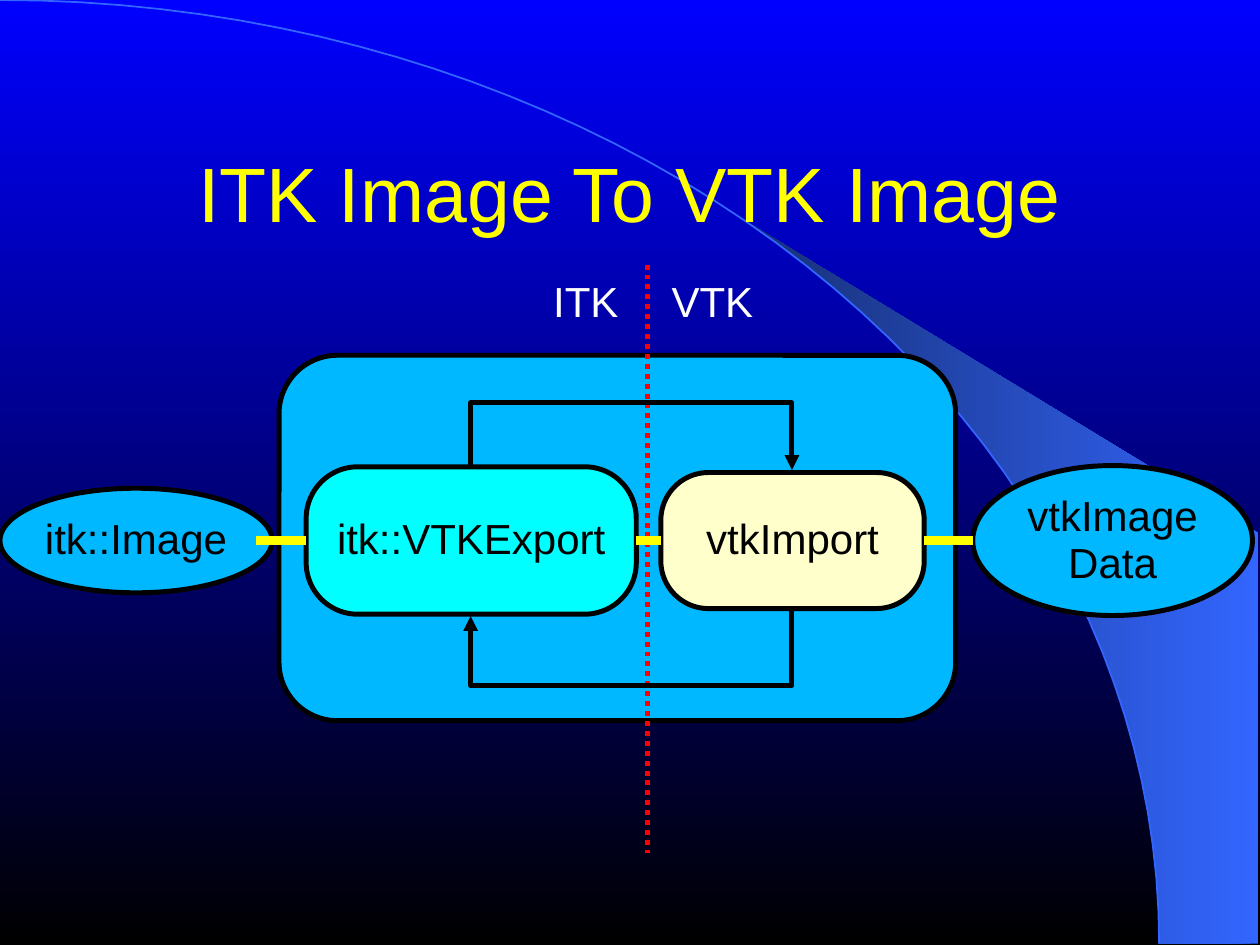
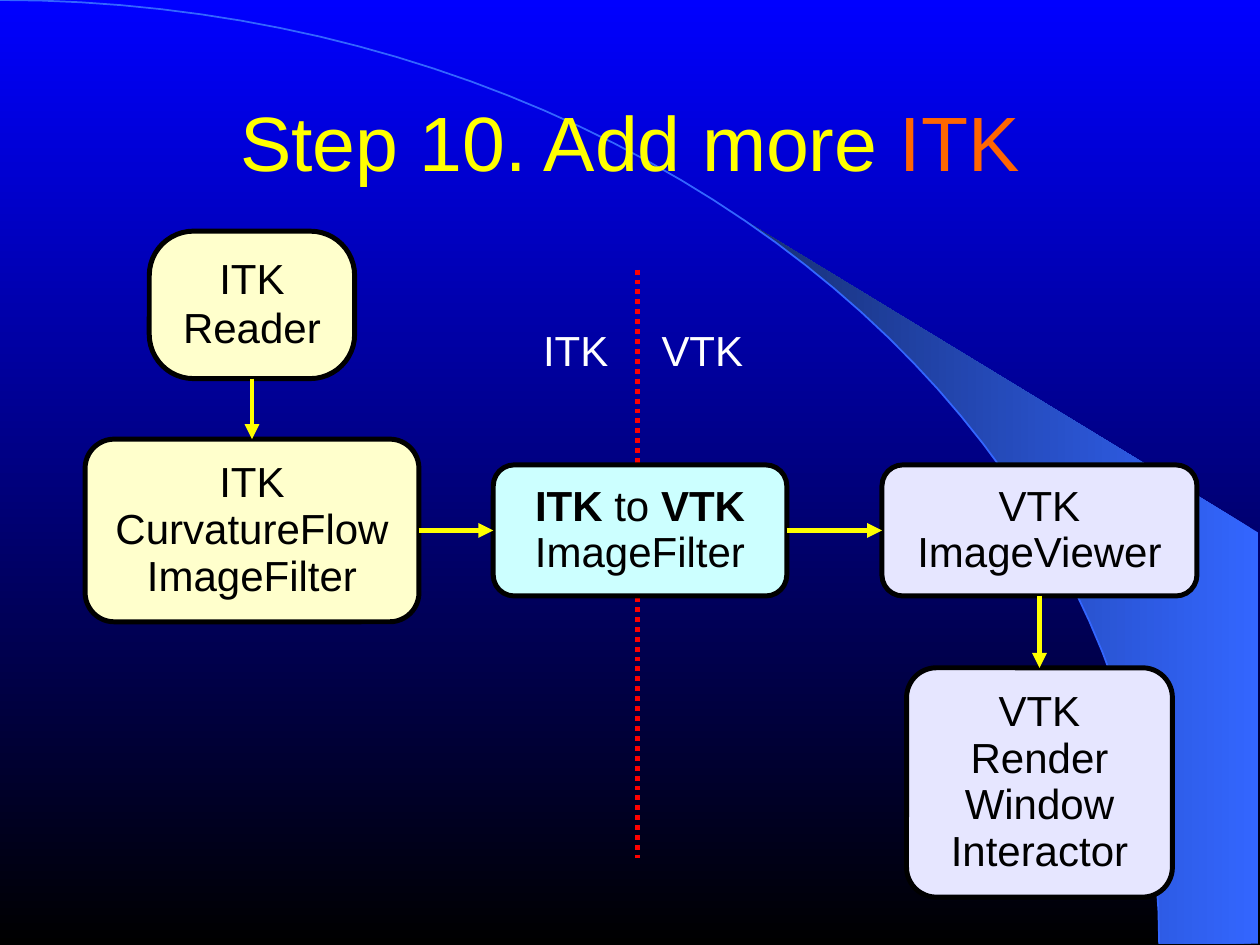
from math import cos, radians, sin

from lxml.etree import SubElement
from pptx import Presentation
from pptx.dml.color import RGBColor
from pptx.enum.dml import MSO_LINE
from pptx.enum.shapes import MSO_CONNECTOR, MSO_SHAPE
from pptx.enum.text import MSO_ANCHOR, PP_ALIGN
from pptx.oxml.ns import qn
from pptx.util import Inches, Pt

OVAL, ROUND = MSO_SHAPE.OVAL, MSO_SHAPE.ROUNDED_RECTANGLE
LINE, ELBOW = MSO_CONNECTOR.STRAIGHT, MSO_CONNECTOR.ELBOW
DOTS = MSO_LINE.ROUND_DOT
MIDDLE, CENTER = MSO_ANCHOR.MIDDLE, PP_ALIGN.CENTER
TOP, LEFT, BOTTOM, RIGHT = range(4)

BLACK = RGBColor(0x00, 0x00, 0x00)
WHITE = RGBColor(0xFF, 0xFF, 0xFF)
BLUE = RGBColor(0x00, 0x00, 0xFF)
GLOW = RGBColor(0x33, 0x66, 0xFF)
DUSK = RGBColor(0x17, 0x2F, 0x75)
YELLOW = RGBColor(0xFF, 0xFF, 0x00)
ORANGE = RGBColor(0xFF, 0x66, 0x00)
RED = RGBColor(0xFF, 0x00, 0x00)
SKY = RGBColor(0x00, 0xB8, 0xFF)
CYAN = RGBColor(0x00, 0xFF, 0xFF)
CREAM = RGBColor(0xFF, 0xFF, 0xCC)
ICE = RGBColor(0xCC, 0xFF, 0xFF)
LILAC = RGBColor(0xE6, 0xE6, 0xFF)

FONT = "Arial"
THIN, THICK = Pt(2.83), Pt(5.67)
SPACE = 0.93


def box(slide, kind, mid, size, fill, text="", pad=0, bend=None):
    """Draw an outlined shape centred on mid, its sizes in inches."""
    (x, y), (w, h) = mid, size
    shape = slide.shapes.add_shape(
        kind, Inches(x - w / 2), Inches(y - h / 2), Inches(w), Inches(h))
    shape.shadow.inherit = False
    if bend:
        shape.adjustments[0] = bend
    shape.fill.solid()
    shape.fill.fore_color.rgb = fill
    shape.line.color.rgb = BLACK
    shape.line.width = THIN
    frame = shape.text_frame
    frame.word_wrap = True
    frame.vertical_anchor = MIDDLE
    frame.margin_left = frame.margin_right = Inches(pad)
    frame.margin_top = frame.margin_bottom = Inches(pad)
    frame.text = text
    for para in frame.paragraphs:
        para.alignment = CENTER
        para.line_spacing = SPACE
        para.font.name, para.font.size = FONT, Pt(24)
        para.font.color.rgb = BLACK
    return shape


def link(slide, kind, start, end, color, width, head=False):
    """Draw a connector between two points in inches."""
    wire = slide.shapes.add_connector(kind, *map(Inches, start + end))
    wire.line.color.rgb = color
    wire.line.width = width
    if head:
        SubElement(wire.line._get_or_add_ln(), qn("a:tailEnd"), type="triangle")
    SubElement(wire._element.spPr, qn("a:effectLst"))
    return wire


deck = Presentation()
deck.slide_width, deck.slide_height = Inches(10), Inches(7.5)
layout = deck.slide_layouts[5]
bridge, steps = [deck.slides.add_slide(layout) for _ in range(2)]

# Shared backdrop: gradient, fan and arc, the curves on one quarter ellipse
back = deck.slide_master.background.fill
back.gradient()
back.gradient_angle = 270
curve = [(Inches(9.2 * sin(radians(t))), Inches(7.49 * (1 - cos(radians(t)))))
         for t in range(0, 91, 2)]
edge = Inches(9.99)
fan_pts = curve[20:] + [(edge, curve[-1][1]), (edge, Inches(4.23))]
art = []
for pts, shut in ((fan_pts, True), (curve, False)):
    pen = bridge.shapes.build_freeform(*pts[0])
    pen.add_line_segments(pts[1:], close=shut)
    form = pen.convert_to_shape()
    form.shadow.inherit = False
    layout.shapes._spTree.append(form._element)
    art.append(form)
fan, arc = art
fan.line.fill.background()
fan.fill.gradient()
fan.fill.gradient_angle = 180
arc.fill.background()
arc.line.color.rgb = GLOW
arc.line.width = Pt(1)
for fill, tones in ((back, (BLUE, BLACK)), (fan.fill, (GLOW, DUSK))):
    for stop, tone, spot in zip(fill.gradient_stops, tones, (0, 1)):
        stop.color.rgb = tone
        stop.position = spot

# The case lies behind the divider
box(bridge, ROUND, (4.9, 4.27), (5.37, 2.9), SKY, bend=0.16)

# Titles, dividers and side labels
for slide, words, top, split, start, row in (
        (bridge, [("ITK Image To VTK Image", YELLOW)], 0.77, 5.14, 2.1, 2.22),
        (steps, [("Step 10. Add more ", YELLOW), ("ITK", ORANGE)],
         0.37, 5.06, 2.14, 2.61)):
    title = slide.shapes.title
    title.left, title.top = 0, Inches(top)
    title.width, title.height = deck.slide_width, Inches(1.58)
    title.text_frame.vertical_anchor = MIDDLE
    para = title.text_frame.paragraphs[0]
    para.alignment = CENTER
    para.line_spacing = SPACE
    para.font.name, para.font.size = FONT, Pt(44)
    for text, color in words:
        run = para.add_run()
        run.text = text
        run.font.color.rgb = color

    rule = link(slide, LINE, (split, start), (split, start + 4.67), RED, THIN)
    rule.line.dash_style = DOTS
    for text, shift, width in (("ITK", -0.75, 0.52), ("VTK", 0.19, 0.65)):
        label = slide.shapes.add_textbox(
            Inches(split + shift), Inches(row), Inches(width), Inches(0.37))
        frame = label.text_frame
        frame.margin_left = frame.margin_right = 0
        frame.margin_top = frame.margin_bottom = 0
        frame.word_wrap = False
        frame.text = text
        para = frame.paragraphs[0]
        para.line_spacing = SPACE
        para.font.name, para.font.size = FONT, Pt(24)
        para.font.color.rgb = WHITE

# Slide 1: the bridge between both toolkits
MID = 4.29
box(bridge, OVAL, (1.08, MID), (2.16, 0.83), SKY, "itk::Image")
box(bridge, OVAL, (8.83, MID), (2.22, 1.19), SKY, "vtkImageData")
sender = box(bridge, ROUND, (3.74, MID), (2.62, 1.17), CYAN,
             "itk::VTKExport", bend=0.35)
taker = box(bridge, ROUND, (6.29, MID), (2.09, 1.08), CREAM,
            "vtkImport", bend=0.35)

pipe = link(bridge, LINE, (2.03, MID), (2.43, MID), YELLOW, THICK)
pipe.end_connect(sender, LEFT)
pipe = link(bridge, LINE, (5.05, MID), (5.24, MID), YELLOW, THICK)
pipe.begin_connect(sender, RIGHT)
pipe.end_connect(taker, LEFT)
pipe = link(bridge, LINE, (7.34, MID), (7.72, MID), YELLOW, THICK)
pipe.begin_connect(taker, RIGHT)

# Each loop is an elbow on its side; reach is its depth from the start
SPAN, RISE, AXIS = 2.55, 0.04, 5.01
for start, reach, turn, flip in ((3.69, -0.49, 270, "1"), (4.85, 0.59, 90, "0")):
    x, y = AXIS - RISE / 2, start + RISE / 2 - SPAN / 2
    loop = link(bridge, ELBOW, (x, y), (x + RISE, y + SPAN), BLACK, THIN, True)
    props = loop._element.spPr
    props.xfrm.set("rot", str(turn * 60000))
    props.xfrm.set("flipH", flip)
    guides = props.find(qn("a:prstGeom")).find(qn("a:avLst"))
    SubElement(guides, qn("a:gd"), name="adj1",
               fmla=f"val {round(reach / RISE * 100000)}")

# Slide 2: the pipeline
WEST, HUB, EAST = 2.0, 5.08, 8.25
ROW = 4.21
reader, flow, joint, viewer, window = [
    box(steps, ROUND, mid, size, fill, text, 0.1, bend)
    for mid, size, fill, text, bend in (
        ((WEST, 2.42), (1.63, 1.17), CREAM, "ITK\nReader", 0.3),
        ((WEST, ROW), (2.65, 1.45), CREAM,
         "ITK\vCurvatureFlow\vImageFilter", 0.16),
        ((HUB, ROW), (2.33, 1.04), ICE, "", 0.16),
        ((EAST, ROW), (2.5, 1.04), LILAC, "VTK\vImageViewer", 0.16),
        ((EAST, 6.21), (2.11, 1.82), LILAC,
         "VTK\vRender\vWindow\vInteractor", 0.13))]
reader.text_frame.paragraphs[1].line_spacing = 0.98

para = joint.text_frame.paragraphs[0]
for text, bold in (("ITK", True), (" to ", False), ("VTK", True)):
    run = para.add_run()
    run.text = text
    run.font.bold = bold
para.add_line_break()
para.add_run().text = "ImageFilter"

for first, out, last, into in (
        (reader, BOTTOM, flow, TOP), (flow, RIGHT, joint, LEFT),
        (joint, RIGHT, viewer, LEFT), (viewer, BOTTOM, window, TOP)):
    arrow = link(steps, LINE, (0, 0), (1, 1), YELLOW, THIN, True)
    arrow.begin_connect(first, out)
    arrow.end_connect(last, into)

deck.save("out.pptx")
